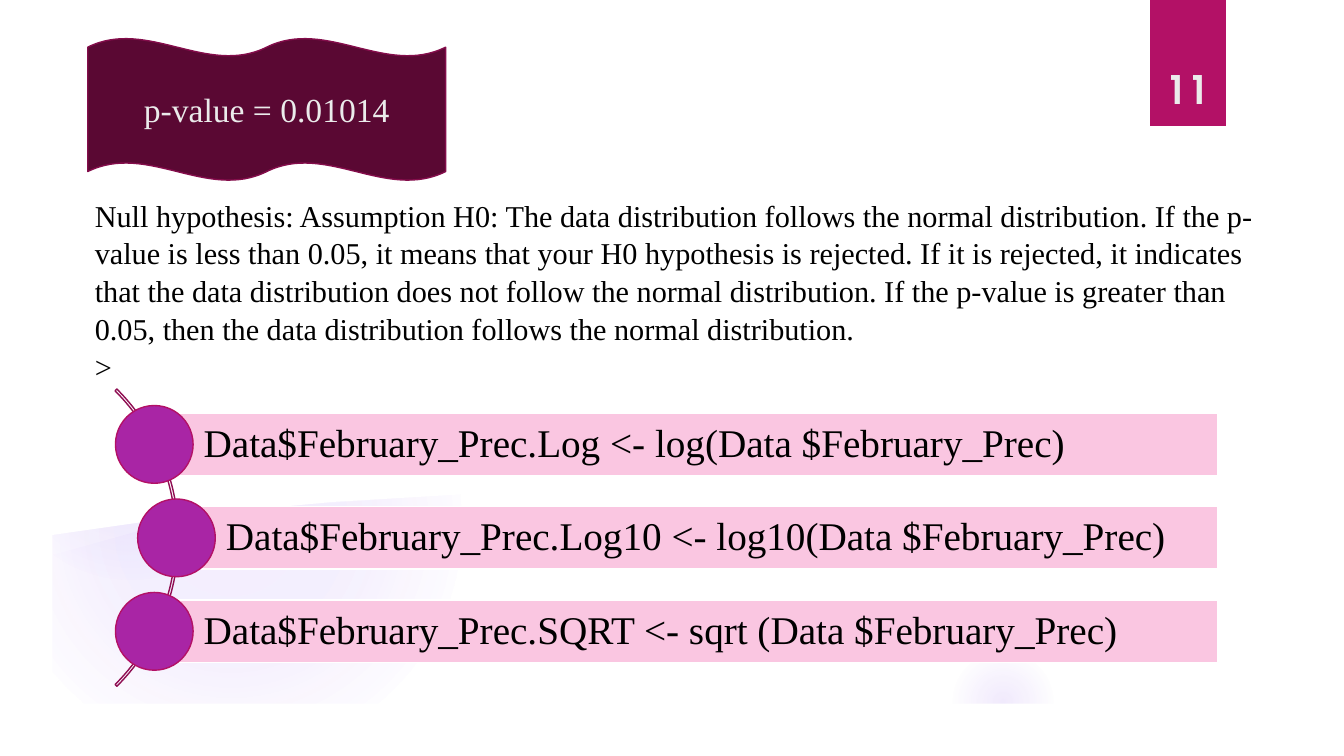
from lxml.etree import SubElement
from pptx import Presentation
from pptx.dml.color import RGBColor
from pptx.enum.shapes import MSO_SHAPE
from pptx.enum.text import MSO_ANCHOR, MSO_AUTO_SIZE, PP_ALIGN
from pptx.oxml.ns import qn
from pptx.util import Inches, Pt

WIDTH, HEIGHT = Inches(13.333), Inches(7.5)
WHITE = RGBColor(0xFF, 0xFF, 0xFF)
BLACK = RGBColor(0x00, 0x00, 0x00)
PALE = RGBColor(0xEB, 0xEB, 0xEB)
LILAC = RGBColor(0x9B, 0x6B, 0xF2)
MAGENTA = RGBColor(0xB3, 0x11, 0x66)
PLUM = RGBColor(0x5A, 0x08, 0x33)
WINE = RGBColor(0x84, 0x0D, 0x4B)
ARC_RED = RGBColor(0x8F, 0x0E, 0x52)
PINK = RGBColor(0xFA, 0xC6, 0xE1)
VIOLET = RGBColor(0xA9, 0x25, 0xA5)
SERIF = "Times New Roman"
SANS = "TeX Gyre Adventor"

HYPOTHESIS = (
    "Null hypothesis: Assumption H0: The data distribution follows the normal "
    "distribution. If the p-value is less than 0.05, it means that your H0 "
    "hypothesis is rejected. If it is rejected, it indicates that the data "
    "distribution does not follow the normal distribution. If the p-value is "
    "greater than 0.05, then the data distribution follows the normal "
    "distribution.\v>"
)
TRANSFORMS = [
    ("Data$February_Prec.Log <- log(Data $February_Prec)", 11.48),
    ("Data$February_Prec.Log10 <- log10(Data $February_Prec)", 13.13),
    ("Data$February_Prec.SQRT <- sqrt (Data $February_Prec)", 11.48),
]
GLOWS = [
    ((0, 38.93, 34.35, 61.07), [(0, 11), (36, 10), (75, 0)]),
    ((0, 42.27, 19.35, 34.4), [(0, 8), (36, 8), (72, 0)]),
    ((70.58, 85.6, 8.1, 14.4), [(0, 14), (36, 7), (66, 0)]),
]
SWOOSH = [(2.18, 67.73), (14, 65.6), (28.88, 65.07), (29.18, 66),
          (22.5, 66.8), (12.15, 69.33), (2.48, 74.13)]
CURVED_COVER = [(96.3, 4.67), (3.75, 4.67), (3.75, 70.8), (14.25, 68.13),
                (24.75, 66.4), (35.03, 65.33), (46.95, 64.93), (59.93, 65.33),
                (73.05, 66.53), (86.03, 68.53), (96.3, 70.8)]
SLIDE_EDGE = [(0, 0), (0, 100), (100, 100), (100, 0)]
FRAME_OPENING = [(3.9, 6.93), (96.08, 6.93), (96.08, 93.07), (3.9, 93.07)]


def at(x, y):
    """Turn percentages of the slide's width and height into lengths."""
    return int(WIDTH * x / 100), int(HEIGHT * y / 100)


def paint(shape, fill=None, line=None):
    """Give a shape a solid or empty fill and an optional outline."""
    shape.shadow.inherit = False
    if fill is None:
        shape.fill.background()
    else:
        shape.fill.solid()
        shape.fill.fore_color.rgb = fill
    if line is None:
        shape.line.fill.background()
    else:
        shape.line.color.rgb = line
        shape.line.width = Pt(1)
    return shape


def add_preset(slide, preset, box, fill=None, line=None):
    """Add a preset shape in a box given in percentages."""
    shape = slide.shapes.add_shape(preset, *at(*box[:2]), *at(*box[2:]))
    return paint(shape, fill, line)


def add_outline(slide, *contours):
    """Add a white freeform built from closed contours."""
    first, *others = contours
    builder = slide.shapes.build_freeform(*at(*first[0]))
    builder.add_line_segments([at(*point) for point in first[1:]])
    for contour in others:
        builder.move_to(*at(*contour[0]))
        builder.add_line_segments([at(*point) for point in contour[1:]])
    return paint(builder.convert_to_shape(), WHITE)


def add_alpha(color_element, percent):
    """Set the opacity of a colour element."""
    SubElement(color_element, qn("a:alpha"), val=str(percent * 1000))


def add_glow(slide, box, stops):
    """Add an ellipse that fades outwards through the given opacities."""
    glow = add_preset(slide, MSO_SHAPE.OVAL, box)
    properties = glow._element.spPr
    gradient = SubElement(properties, qn("a:gradFill"), rotWithShape="1")
    stop_list = SubElement(gradient, qn("a:gsLst"))
    for position, opacity in stops:
        stop = SubElement(stop_list, qn("a:gs"), pos=str(position * 1000))
        add_alpha(SubElement(stop, qn("a:srgbClr"), val=str(LILAC)), opacity)
    radial = SubElement(gradient, qn("a:path"), path="circle")
    SubElement(radial, qn("a:fillToRect"), l="50000", t="50000", r="50000", b="50000")
    properties.replace(properties.find(qn("a:noFill")), gradient)


def write(shape, text, *, size, color, font=SERIF, bold=False,
          align=PP_ALIGN.LEFT, anchor=MSO_ANCHOR.MIDDLE, spacing=1.0,
          left_inset=0.1, tracking=0):
    """Write formatted text into a shape."""
    frame = shape.text_frame
    frame.word_wrap = True
    frame.auto_size = MSO_AUTO_SIZE.NONE
    frame.vertical_anchor = anchor
    frame.margin_left = Inches(left_inset)
    frame.text = text
    paragraph = frame.paragraphs[0]
    paragraph.alignment = align
    paragraph.line_spacing = spacing
    for run in paragraph.runs:
        run.font.name = font
        run.font.size = Pt(size)
        run.font.bold = bold
        run.font.color.rgb = color
        run._r.get_or_add_rPr().set("spc", str(tracking))


def add_backdrop(slide):
    """Draw the lilac glows and the white outlines that mask them."""
    for box, stops in GLOWS:
        add_glow(slide, box, stops)
    swoosh = add_outline(slide, SWOOSH)
    add_alpha(swoosh._element.spPr.find(".//" + qn("a:srgbClr")), 20)
    add_outline(slide, CURVED_COVER)
    add_outline(slide, SLIDE_EDGE, FRAME_OPENING)


def add_transform_list(slide):
    """Draw the arc with one bar and one circle for each transform."""
    arc = add_preset(slide, MSO_SHAPE.BLOCK_ARC, (-18, 43.33, 31.28, 55.6), line=ARC_RED)
    for index, value in enumerate((189, 27, 6 / 1000)):
        arc.adjustments[index] = value
    first_top, pitch, bar_height, right = 54.67, 12.36, 8.24, 90.64
    dot_width, dot_height = 5.78, 10.29
    for row, (formula, left) in enumerate(TRANSFORMS):
        top = first_top + row * pitch
        bar = add_preset(slide, MSO_SHAPE.RECTANGLE,
                         (left, top, right - left, bar_height), PINK, WHITE)
        write(bar, formula, size=28, color=BLACK, spacing=0.9, left_inset=0.49)
        dot_top = top + (bar_height - dot_height) / 2
        add_preset(slide, MSO_SHAPE.OVAL,
                   (left - dot_width / 2, dot_top, dot_width, dot_height),
                   VIOLET, MAGENTA)


def add_page_number(slide):
    """Draw the magenta tab and the page number on it."""
    add_preset(slide, MSO_SHAPE.RECTANGLE, (85.58, 0, 5.63, 16.67), MAGENTA)
    number = slide.shapes.add_textbox(*at(84.9, 4.27), *at(6.9, 11.2))
    write(number, "11", size=28, color=PALE, font=SANS, bold=True,
          align=PP_ALIGN.CENTER, anchor=MSO_ANCHOR.BOTTOM, tracking=50)


def main():
    """Build the slide and save it."""
    deck = Presentation()
    deck.slide_width, deck.slide_height = WIDTH, HEIGHT
    slide = deck.slides.add_slide(deck.slide_layouts[5])
    add_backdrop(slide)

    title = slide.shapes.title
    title.left, title.top = at(6.3, 25.47)
    title.width, title.height = at(88.65, 26)
    write(title, HYPOTHESIS, size=21.6, color=BLACK,
          anchor=MSO_ANCHOR.BOTTOM, spacing=1.04)
    slide.shapes._spTree.append(title._element)

    banner = add_preset(slide, MSO_SHAPE.DOUBLE_WAVE, (6.53, 5.07, 26.63, 18.8), PLUM, WINE)
    write(banner, "p-value = 0.01014", size=24, color=PALE, align=PP_ALIGN.CENTER)
    add_transform_list(slide)
    add_page_number(slide)
    deck.save("out.pptx")


if __name__ == "__main__":
    main()
